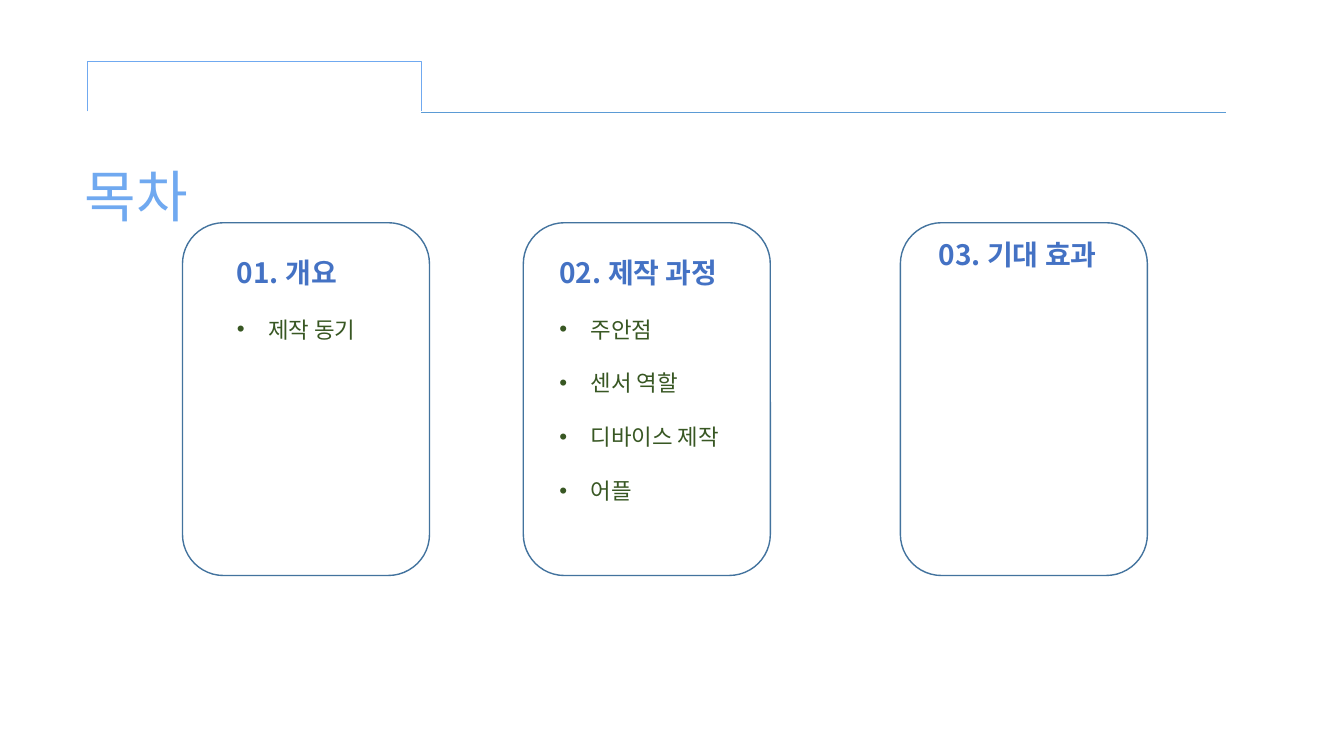
from pptx import Presentation, util as u
from pptx.dml.color import RGBColor
from pptx.enum import shapes, text
from pptx.oxml.ns import qn
from lxml import etree

THEME = dict(
    font="Noto Sans CJK KR",
    title=("70A9F0", 40), heading=("4472C4", 20), item=("385723", 16),
    tab="70A9F0", rule="5B9BD5", card="43739E",
)
CARD_TOP, CARD_W, CARD_H = 2.21, 2.45, 3.5
INDENT = u.Inches(0.31)


def style(p, role, spacing, bold=False):
    color, size = THEME[role]
    p.alignment = text.PP_ALIGN.LEFT
    p.line_spacing = spacing
    f = p.font
    f.name, f.size, f.bold = THEME["font"], u.Pt(size), bold
    f.color.rgb = RGBColor.from_string(color)
    defaults = p._p.pPr.find(qn("a:defRPr"))
    latin = defaults.find(qn("a:latin"))
    ea = etree.Element(qn("a:ea"), typeface=THEME["font"])
    latin.addnext(ea)


def outline(sp, color, width):
    sp.line.color.rgb = RGBColor.from_string(color)
    sp.line.width = u.Pt(width)


prs = Presentation()
prs.slide_width, prs.slide_height = u.Inches(13.33), u.Inches(7.5)
s = prs.slides.add_slide(prs.slide_layouts[5])

# Title
sp = s.shapes.title
sp.left, sp.top, sp.width, sp.height = map(u.Inches, (0.74, 1.22, 2.74, 1.62))
tf = sp.text_frame
tf.text = "목차"
tf.vertical_anchor = text.MSO_ANCHOR.TOP
tf.auto_size = text.MSO_AUTO_SIZE.NONE
style(tf.paragraphs[0], "title", 1.5)

# Folder tab and rule across the top
sp = s.shapes.add_shape(shapes.MSO_SHAPE.RIGHT_BRACKET,
                        *map(u.Inches, (2.27, -0.8, 0.5, 3.31)))
sp.rotation = 270
sp.adjustments[0] = 0
sp.shadow.inherit = False
sp.fill.background()
outline(sp, THEME["tab"], 0.5)

rule = s.shapes.add_connector(shapes.MSO_CONNECTOR.STRAIGHT,
                              *map(u.Inches, (4.18, 1.11, 12.16, 1.11)))
outline(rule, THEME["rule"], 0.5)
etree.SubElement(rule._element.spPr, qn("a:effectLst"))

# Chapters: card left, text box, heading line spacing, heading, items
chapters = [
    (1.81, (2.25, 2.15, 2.45, 1.62), 2.0, "01. 개요", ["제작 동기"]),
    (5.19, (5.45, 2.15, 4.22, 3.84), 2.0, "02. 제작 과정",
     ["주안점", "센서 역할", "디바이스 제작", "어플"]),
    (8.93, (9.21, 2.31, 3.31, 0.74), 1.0, "03. 기대 효과", []),
]
for card_left, box, spacing, heading, items in chapters:
    sp = s.shapes.add_shape(shapes.MSO_SHAPE.ROUNDED_RECTANGLE,
                            *map(u.Inches, (card_left, CARD_TOP, CARD_W, CARD_H)))
    sp.shadow.inherit = False
    sp.fill.background()
    outline(sp, THEME["card"], 1)

    tf = s.shapes.add_textbox(*map(u.Inches, box)).text_frame
    tf.word_wrap = True
    p = tf.paragraphs[0]
    p.text = heading
    style(p, "heading", spacing, bold=True)
    for item in items:
        p = tf.add_paragraph()
        p.text = item
        style(p, "item", 2.0)
        pPr = p._p.pPr
        pPr.set("marL", str(INDENT))
        pPr.set("indent", str(-INDENT))
        defaults = pPr.find(qn("a:defRPr"))
        defaults.addprevious(etree.Element(qn("a:buFont"), typeface="Arial"))
        defaults.addprevious(etree.Element(qn("a:buChar"), char="•"))

prs.save("out.pptx")
